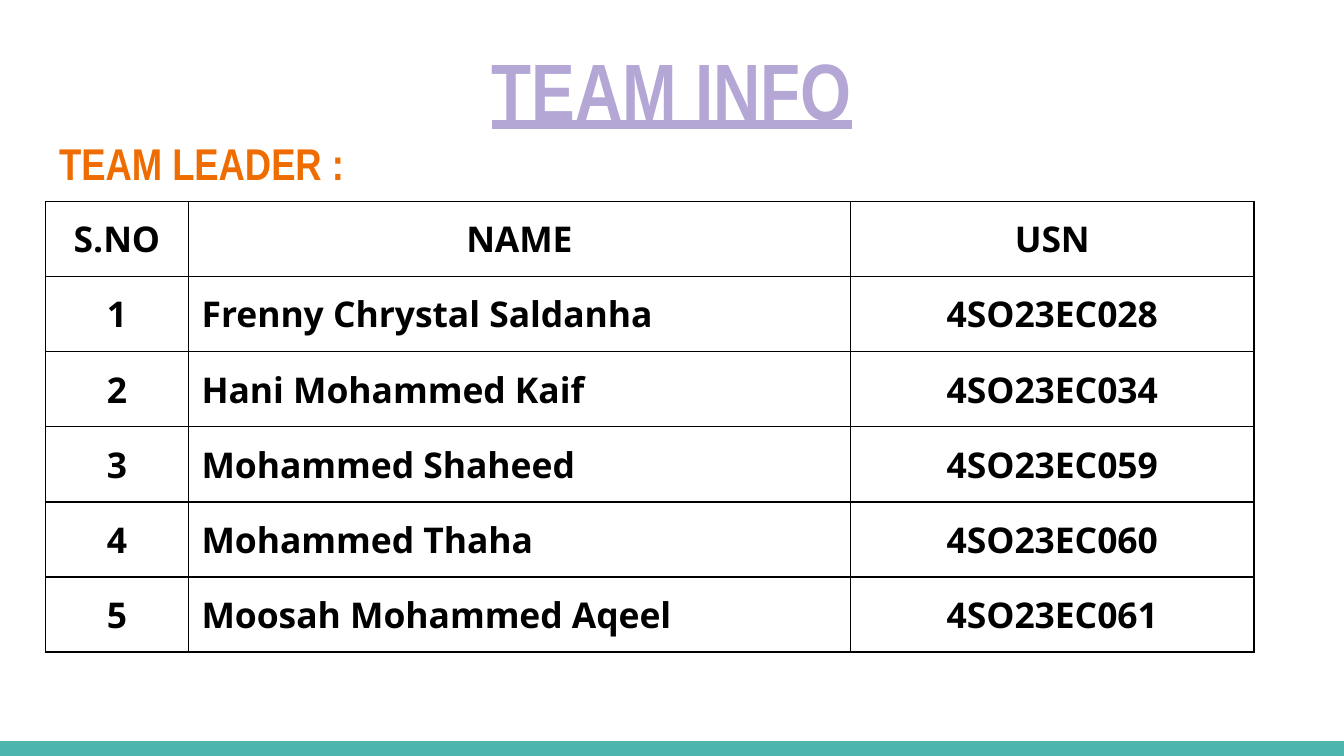
from typing import NamedTuple

from lxml.etree import SubElement
from pptx import Presentation
from pptx.dml.color import RGBColor
from pptx.enum.shapes import MSO_SHAPE as Shape
from pptx.enum.text import MSO_ANCHOR as Anchor, MSO_AUTO_SIZE as AutoSize, PP_ALIGN as Align
from pptx.oxml.ns import qn
from pptx.util import Inches, Pt

WIDTH = Inches(10)
HEIGHT = WIDTH * 9 // 16
LEFT = Inches(0.34)
INSET = Inches(0.1)
ROW_HEIGHT = Inches(0.51)
BAR_HEIGHT = Inches(0.11)

WHITE = RGBColor(0xFF, 0xFF, 0xFF)
BLACK = RGBColor(0x00, 0x00, 0x00)
TEAL = RGBColor(0x4D, 0xB6, 0xAC)
LILAC = RGBColor(0xB4, 0xA7, 0xD6)
ORANGE = RGBColor(0xEF, 0x6C, 0x00)


class TextStyle(NamedTuple):
    font: str
    size: float
    color: RGBColor
    underline: bool = False


class Column(NamedTuple):
    heading: str
    width: float
    align: Align


class Member(NamedTuple):
    name: str
    usn: str


HEADING = TextStyle("Arial Narrow", 42.8, LILAC, True)
SUBHEADING = TextStyle("Arial Narrow", 23.8, ORANGE)
CELL = TextStyle("Open Sans", 19, BLACK)

COLUMNS = [
    Column("S.NO", 1.06, Align.CENTER),
    Column("NAME", 4.93, Align.LEFT),
    Column("USN", 3, Align.CENTER),
]
MEMBERS = [
    Member("Frenny Chrystal Saldanha", "4SO23EC028"),
    Member("Hani Mohammed Kaif", "4SO23EC034"),
    Member("Mohammed Shaheed", "4SO23EC059"),
    Member("Mohammed Thaha", "4SO23EC060"),
    Member("Moosah Mohammed Aqeel", "4SO23EC061"),
]


def write(paragraph, text: str, style: TextStyle, align: Align) -> None:
    paragraph.alignment = align
    paragraph.line_spacing = 1.0
    paragraph.space_before = paragraph.space_after = Pt(0)
    run = paragraph.add_run()
    run.text = text
    run.font.name = style.font
    run.font.size = Pt(style.size)
    run.font.bold = True
    run.font.underline = style.underline
    run.font.color.rgb = style.color


def set_insets(box) -> None:
    box.margin_left = box.margin_right = INSET
    box.margin_top = box.margin_bottom = INSET


def add_borders(cell) -> None:
    properties = cell._tc.get_or_add_tcPr()
    for position, side in enumerate(("lnL", "lnR", "lnT", "lnB")):
        line = SubElement(properties, qn(f"a:{side}"), w=str(Pt(0.75)))
        fill = SubElement(line, qn("a:solidFill"))
        SubElement(fill, qn("a:srgbClr"), val=str(BLACK))
        properties.insert(position, line)


def add_bottom_bar(slide) -> None:
    bar = slide.shapes.add_shape(
        Shape.RECTANGLE, 0, HEIGHT - BAR_HEIGHT, WIDTH, BAR_HEIGHT
    )
    bar.shadow.inherit = False
    bar.fill.solid()
    bar.fill.fore_color.rgb = TEAL
    bar.line.fill.background()


def format_title(title) -> None:
    title.left, title.top = LEFT, Inches(0.2)
    title.width, title.height = WIDTH - 2 * LEFT, Inches(1.06)
    frame = title.text_frame
    frame.word_wrap = True
    frame.auto_size = AutoSize.NONE
    frame.vertical_anchor = Anchor.TOP
    set_insets(frame)
    write(frame.paragraphs[0], "TEAM INFO", HEADING, Align.CENTER)
    write(frame.add_paragraph(), "TEAM LEADER :", SUBHEADING, Align.LEFT)


def add_team_table(slide) -> None:
    rows = [[column.heading for column in COLUMNS]]
    rows += [[str(number), *member] for number, member in enumerate(MEMBERS, 1)]
    width = Inches(sum(column.width for column in COLUMNS))
    table = slide.shapes.add_table(
        len(rows), len(COLUMNS), LEFT, Inches(1.5), width, ROW_HEIGHT * len(rows)
    ).table
    table.first_row = table.horz_banding = False
    for index, column in enumerate(COLUMNS):
        table.columns[index].width = Inches(column.width)
        for row, texts in enumerate(rows):
            cell = table.cell(row, index)
            cell.fill.background()
            set_insets(cell)
            add_borders(cell)
            align = column.align if row else Align.CENTER
            write(cell.text_frame.paragraphs[0], texts[index], CELL, align)


def main() -> None:
    presentation = Presentation()
    presentation.slide_width, presentation.slide_height = WIDTH, HEIGHT
    slide = presentation.slides.add_slide(presentation.slide_layouts[5])
    slide.background.fill.solid()
    slide.background.fill.fore_color.rgb = WHITE
    add_bottom_bar(slide)
    format_title(slide.shapes.title)
    add_team_table(slide)
    presentation.save("out.pptx")


if __name__ == "__main__":
    main()
